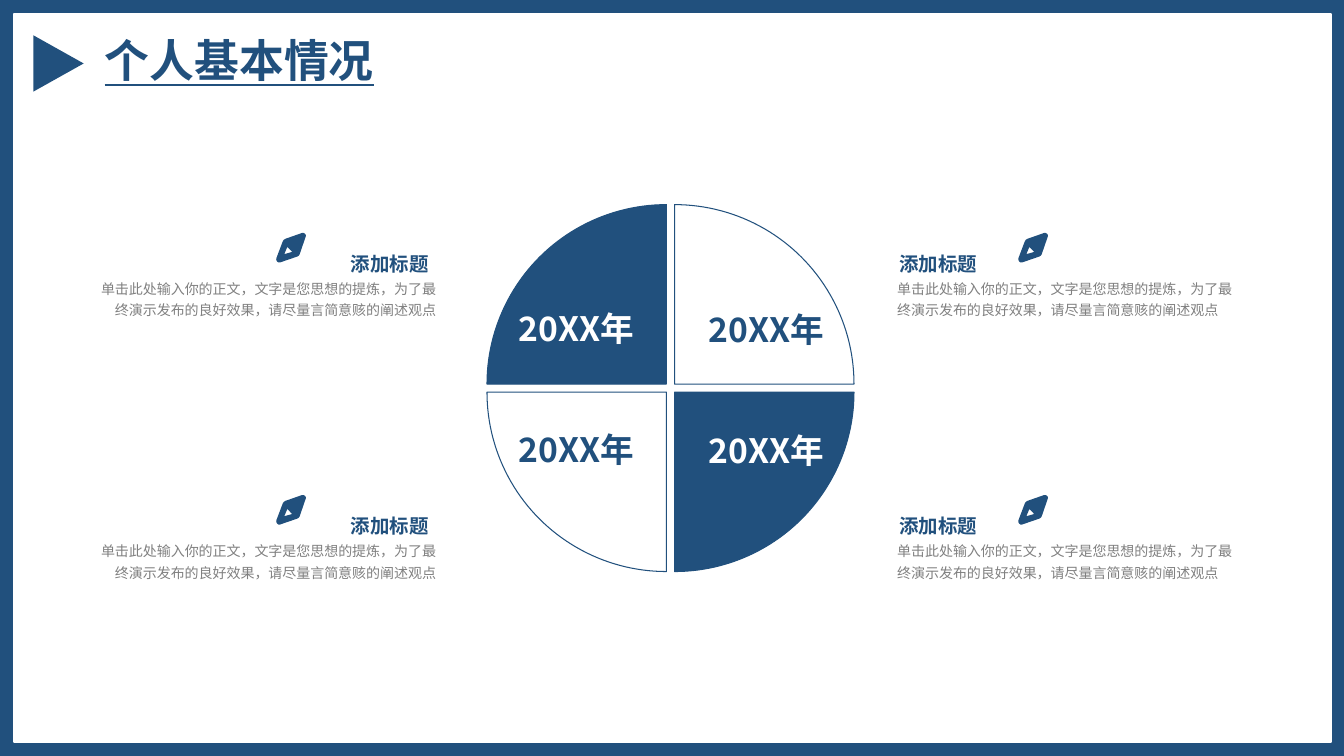
import pptx
import pptx.dml.color
import pptx.enum.shapes
import pptx.enum.text
import pptx.oxml
import pptx.oxml.ns
import pptx.util

Inches = pptx.util.Inches
Shapes = pptx.enum.shapes.MSO_SHAPE
Align = pptx.enum.text.PP_ALIGN

BLUE, WHITE, GRAY = "21507D", "FFFFFF", "808080"
FONT = "Noto Sans CJK SC"
HEADING = "添加标题"
BODY = "单击此处输入你的正文，文字是您思想的提炼，为了最终演示发布的良好效果，请尽量言简意赅的阐述观点"

# Compass icon in thousandths of an inch: rounded diamond and its needle
DIAMOND = [(255, 2), (90, 60), (75, 70), (66, 82), (2, 250), (0, 268),
           (8, 284), (22, 294), (38, 294), (210, 235), (224, 226), (232, 214),
           (293, 36), (293, 22), (286, 10), (272, 2)]
NEEDLE = [(80, 212), (110, 140), (158, 190)]


def color(value):
    return pptx.dml.color.RGBColor.from_string(value)


class Page:
    def __init__(self, deck):
        self.shapes = deck.slides.add_slide(deck.slide_layouts[6]).shapes

    def paint(self, shape, fill=None, line=None, weight=0.75):
        shape.shadow.inherit = False
        if fill:
            shape.fill.solid()
            shape.fill.fore_color.rgb = color(fill)
        else:
            shape.fill.background()
        if line:
            shape.line.color.rgb = color(line)
            shape.line.width = pptx.util.Pt(weight)
        else:
            shape.line.fill.background()

    def shape(self, kind, left, top, width, height, turn=0, **style):
        shape = self.shapes.add_shape(
            kind, Inches(left), Inches(top), Inches(width), Inches(height))
        shape.rotation = turn
        self.paint(shape, **style)

    def compass(self, left, top):
        builder = self.shapes.build_freeform(*DIAMOND[0], scale=Inches(1) / 1000)
        builder.add_line_segments(DIAMOND[1:])
        builder.move_to(*NEEDLE[0])
        builder.add_line_segments(NEEDLE[1:])
        self.paint(builder.convert_to_shape(Inches(left), Inches(top)), BLUE)

    def text(self, words, left, top, width, height, size, ink=BLUE, bold=True,
             align=Align.LEFT, spacing=None, underline=None, baseline=None):
        box = self.shapes.add_textbox(
            Inches(left), Inches(top), Inches(width), Inches(height))
        frame = box.text_frame
        frame.word_wrap = True
        frame.auto_size = pptx.enum.text.MSO_AUTO_SIZE.SHAPE_TO_FIT_TEXT
        para = frame.paragraphs[0]
        para.text = words
        para.alignment = align
        para.line_spacing = spacing
        font = para.font
        font.size = pptx.util.Pt(size)
        font.bold = bold
        font.underline = underline
        font.color.rgb = color(ink)
        font.name = FONT
        # East Asian typeface and lowered baseline need XML
        properties = para.runs[0].font._element
        east = pptx.oxml.parse_xml(
            f'<a:ea {pptx.oxml.ns.nsdecls("a")} typeface="{FONT}"/>')
        properties.append(east)
        if baseline:
            properties.set("baseline", str(baseline))


def main():
    deck = pptx.Presentation()
    deck.slide_width, deck.slide_height = Inches(13.33), Inches(7.5)
    page = Page(deck)

    # Frame and title
    page.shape(Shapes.RECTANGLE, 0, 0, 13.33, 7.5, fill=BLUE)
    page.shape(Shapes.RECTANGLE, 0.14, 0.14, 13.06, 7.22,
               fill=WHITE, line=WHITE, weight=1)
    page.text("个人基本情况", 0.94, 0.28, 3.75, 0.64, 32,
              align=Align.JUSTIFY, underline=True)
    page.shape(Shapes.ISOSCELES_TRIANGLE, 0.3, 0.38, 0.56, 0.5, 90, fill=BLUE)

    # Quarter circles, clockwise from top left: left, top, fill
    quarters = [(4.83, 2.03, BLUE), (6.69, 2.03, None),
                (6.69, 3.89, BLUE), (4.83, 3.89, None)]
    for index, (left, top, fill) in enumerate(quarters):
        page.shape(Shapes.PIE_WEDGE, left, top, 1.78, 1.78, 90 * index,
                   fill=fill, line=BLUE)

    # Year labels: left, top, ink, alignment
    years = [(4.94, 3.01, WHITE, Align.CENTER), (6.71, 3.02, BLUE, Align.RIGHT),
             (4.94, 4.21, BLUE, Align.CENTER), (6.71, 4.22, WHITE, Align.RIGHT)]
    for left, top, ink, align in years:
        page.text("20XX年", left, top, 1.56, 0.5, 24, ink, align=align)

    # Notes on both sides: heading, body and icon lefts, alignment
    sides = [(2.79, 0.81, 2.74, Align.RIGHT), (8.82, 8.8, 10.1, Align.LEFT)]
    for top in (2.3, 4.9):
        for heading_left, body_left, icon_left, align in sides:
            page.text(HEADING, heading_left, top, 1.56, 0.36, 24,
                      align=align, baseline=-3000)
            page.text(BODY, body_left, top + 0.38, 3.61, 0.54, 10, GRAY,
                      bold=False, align=align, spacing=1.3)
            page.compass(icon_left, top + 0.01)

    deck.save("out.pptx")


if __name__ == "__main__":
    main()
